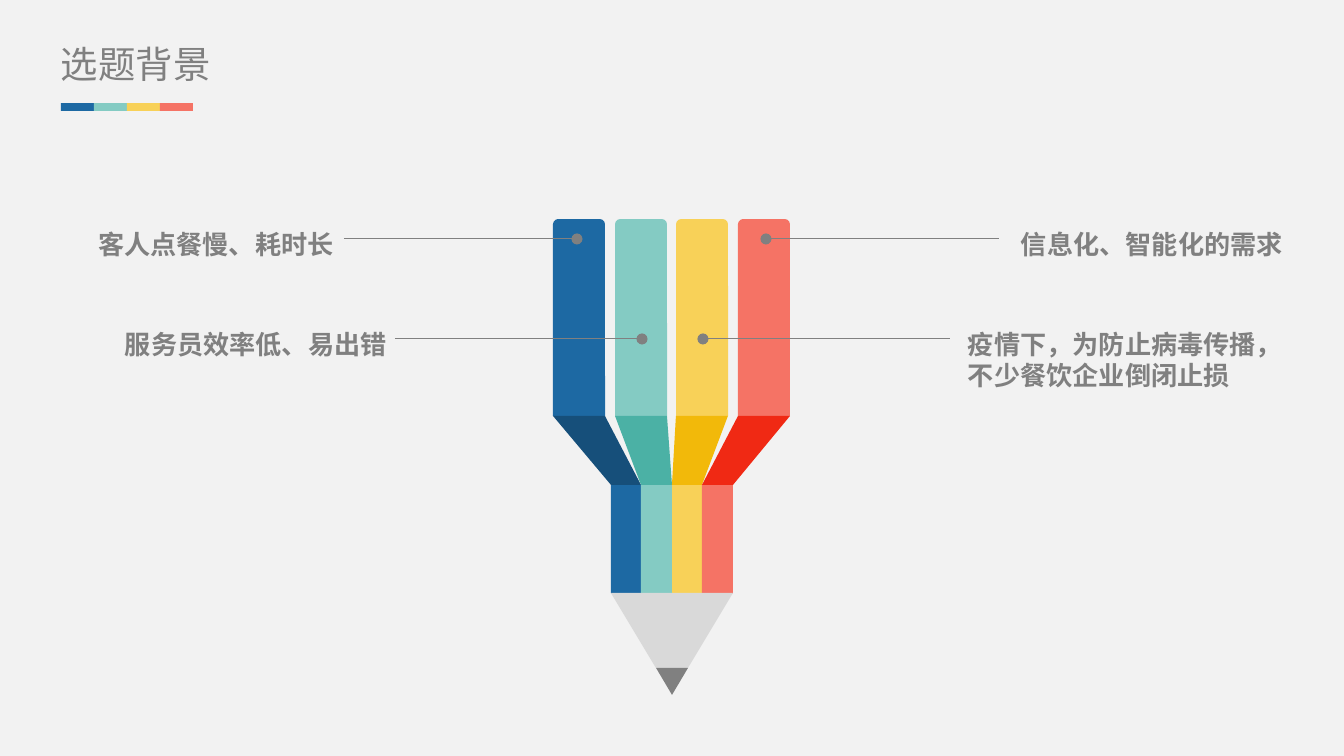
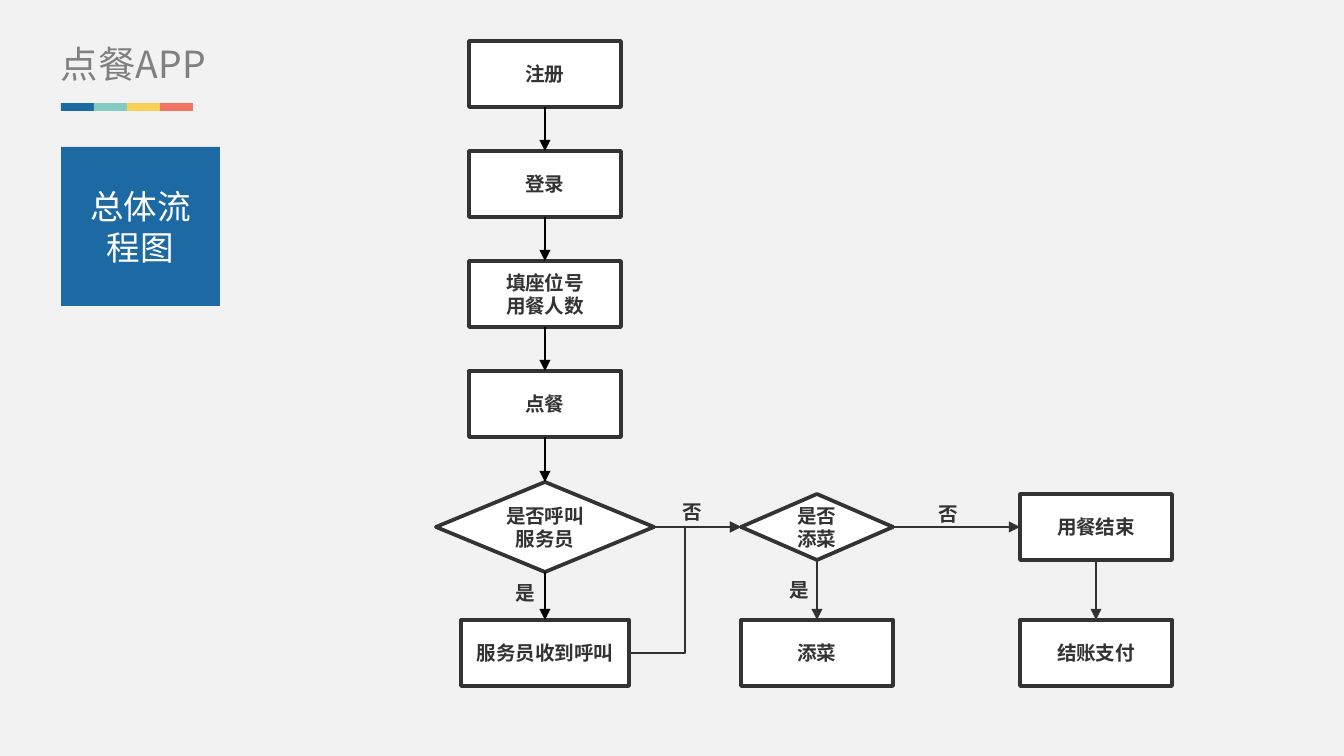
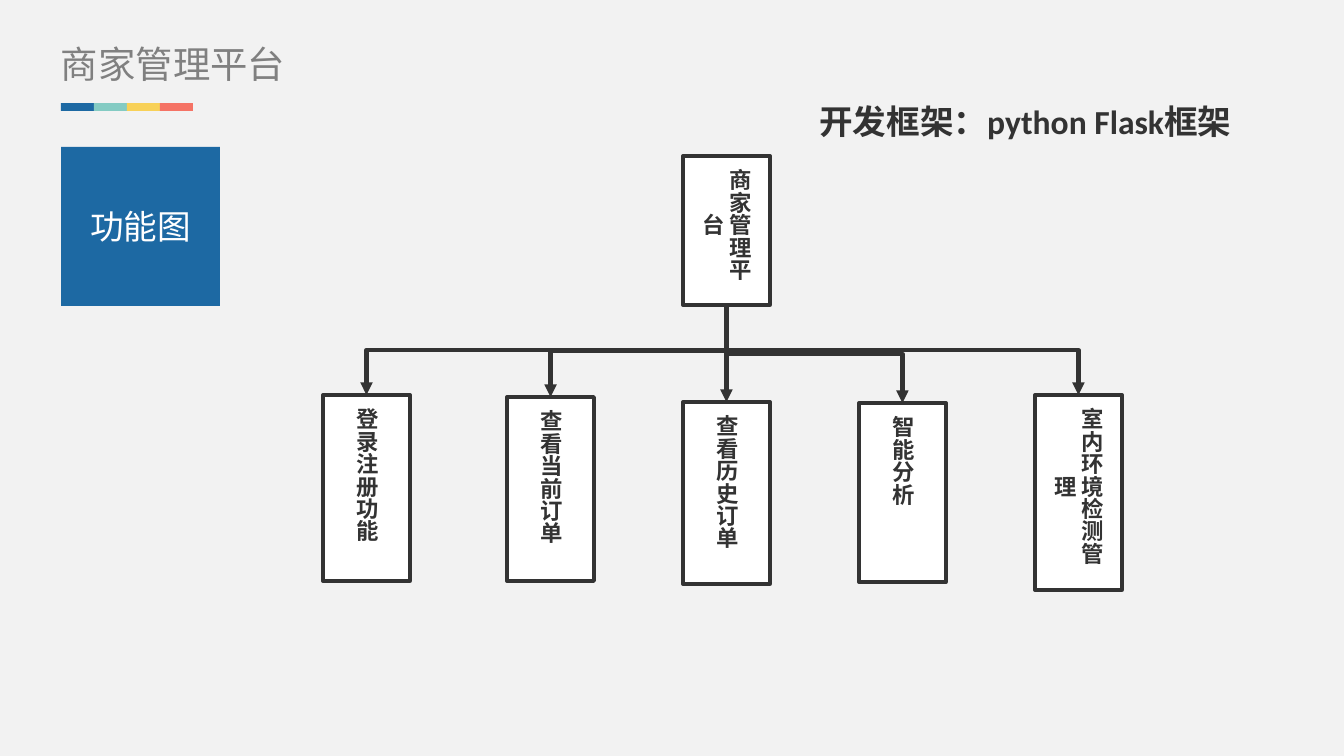
"""Builds three slides on an ordering system: background, app flow and merchant functions."""
from lxml.etree import SubElement
from pptx import Presentation
from pptx.dml.color import RGBColor
from pptx.enum.shapes import MSO_CONNECTOR, MSO_SHAPE
from pptx.enum.text import MSO_ANCHOR, MSO_AUTO_SIZE, PP_ALIGN
from pptx.oxml.ns import qn
from pptx.util import Pt

PX = 9144000 / 1344
COLOURS = {
    "paper": "F2F2F2", "white": "FFFFFF", "grey": "808080", "wood": "D9D9D9",
    "ink": "333333", "arrow": "323232", "black": "000000",
    "blue": "1D69A3", "teal": "84CBC3", "yellow": "F8D158", "red": "F57365",
    "dark blue": "164F7A", "dark teal": "4BB1A5", "dark yellow": "F2B90A", "dark red": "F02914",
}
RGB = {name: RGBColor.from_string(code) for name, code in COLOURS.items()}
BAND = ["blue", "teal", "yellow", "red"]
CJK = "Noto Sans CJK SC"
STYLES = {
    "title": ("grey", {"size": Pt(20), "name": CJK}),
    "callout": ("grey", {"size": Pt(14), "name": "Calibri", "bold": True}),
    "badge": ("white", {"size": Pt(18), "name": "Calibri"}),
    "step": ("ink", {"size": Pt(10.5), "name": "Times New Roman", "bold": True}),
    "function": ("ink", {"size": Pt(12), "name": "Times New Roman", "bold": True}),
    "remark": ("ink", {"size": Pt(18), "name": "Calibri", "bold": True}),
}


def place(slide, frame, kind=None, fill=None, edge=None, text="", style=None,
          align=PP_ALIGN.CENTER, margin=None):
    """Adds a preset shape, or a text box when no kind is given."""
    left, top, width, height = [round(value * PX) for value in frame]
    if kind is None:
        item = slide.shapes.add_textbox(left, top, width, height)
        item.text_frame.auto_size = MSO_AUTO_SIZE.SHAPE_TO_FIT_TEXT
    else:
        item = slide.shapes.add_shape(kind, left, top, width, height)
        item.shadow.inherit = False
        item.fill.solid()
        item.fill.fore_color.rgb = RGB[fill]
        item.text_frame.vertical_anchor = MSO_ANCHOR.MIDDLE
        if edge:
            item.line.color.rgb = RGB[edge]
            item.line.width = Pt(2)
        else:
            item.line.fill.background()
    item.text_frame.word_wrap = True
    if margin is not None:
        for side in ("left", "top", "right", "bottom"):
            setattr(item.text_frame, f"margin_{side}", margin)
    if text:
        item.text_frame.text = text
        colour, values = STYLES[style]
        for paragraph in item.text_frame.paragraphs:
            paragraph.alignment = align
            for run in paragraph.runs:
                run.font.color.rgb = RGB[colour]
                for name, value in values.items():
                    setattr(run.font, name, value)
                SubElement(run.font._element, qn("a:ea"), typeface=CJK)
    return item


def link(slide, ends, colour, width, tip="triangle", kind=MSO_CONNECTOR.STRAIGHT):
    """Adds a connector with a tip at its end."""
    connector = slide.shapes.add_connector(kind, *[round(value * PX) for value in ends])
    connector.line.color.rgb = RGB[colour]
    connector.line.width = Pt(width)
    SubElement(connector.line._get_or_add_ln(), qn("a:tailEnd"), type=tip)
    SubElement(connector._element.spPr, qn("a:effectLst"))
    return connector


prs = Presentation()
prs.slide_width, prs.slide_height = round(1344 * PX), round(756 * PX)
prs.slide_master.background.fill.solid()
prs.slide_master.background.fill.fore_color.rgb = RGB["paper"]

slides = []
for title, badge in [("选题背景", None), ("点餐APP", "总体流程图"), ("商家管理平台", "功能图")]:
    slide = prs.slides.add_slide(prs.slide_layouts[6])
    place(slide, (61, 41, 409, 46), text=title, style="title", align=PP_ALIGN.LEFT, margin=0)
    for i, colour in enumerate(BAND):
        place(slide, (61 + 33 * i, 103, 33, 8), MSO_SHAPE.RECTANGLE, colour)
    if badge:
        place(slide, (61, 147, 159, 159), MSO_SHAPE.RECTANGLE, "blue", text=badge, style="badge")
    slides.append(slide)
background, flow, functions = slides

barrels = [553, 615, 676, 738]
edges = [611, 641, 672, 702, 733]
pieces = []
for colour, barrel, left, right in zip(BAND, barrels, edges, edges[1:]):
    top = place(background, (barrel, 219, 52, 197), MSO_SHAPE.ROUND_2_SAME_RECTANGLE, colour)
    top.adjustments[0] = 0.1
    pieces.append((colour, [(left, 485), (right, 485), (right, 593),
                            ((left + right) // 2, 608), (left, 593)]))
    pieces.append((f"dark {colour}", [(barrel, 416), (barrel + 52, 416), (right, 485), (left, 485)]))
pieces.append(("wood", [(611, 593), (733, 593), (688, 668), (656, 668)]))
pieces.append(("grey", [(656, 668), (688, 668), (672, 695)]))
for colour, corners in pieces:
    outline = background.shapes.build_freeform(*corners[0], scale=PX)
    outline.add_line_segments(corners[1:], close=True)
    piece = outline.convert_to_shape()
    piece.shadow.inherit = False
    piece.fill.solid()
    piece.fill.fore_color.rgb = RGB[colour]
    piece.line.fill.background()

callouts = [
    ("客人点餐慢、耗时长", (69, 228, 265, 32), PP_ALIGN.RIGHT, (344, 239, 577, 239)),
    ("服务员效率低、易出错", (122, 328, 265, 32), PP_ALIGN.RIGHT, (395, 339, 642, 339)),
    ("信息化、智能化的需求", (1021, 228, 265, 32), PP_ALIGN.LEFT, (999, 239, 766, 239)),
    ("疫情下，为防止病毒传播，不少餐饮企业倒闭止损", (968, 328, 306, 63), PP_ALIGN.LEFT,
     (950, 339, 703, 339)),
]
for text, frame, align, ends in callouts:
    place(background, frame, text=text, style="callout", align=align, margin=0)
    link(background, ends, "grey", 0.5, "oval")

steps = {}
for i, text in enumerate(["注册", "登录", "填座位号\n用餐人数", "点餐"]):
    steps[text] = place(flow, (469, 41 + 110 * i, 152, 66), MSO_SHAPE.RECTANGLE,
                        "white", "ink", text, "step")
for text, kind, frame in [
    ("是否呼叫服务员", MSO_SHAPE.FLOWCHART_DECISION, (436, 482, 218, 90)),
    ("服务员收到呼叫", MSO_SHAPE.RECTANGLE, (461, 620, 168, 66)),
    ("是否添菜", MSO_SHAPE.FLOWCHART_DECISION, (741, 494, 152, 66)),
    ("添菜", MSO_SHAPE.RECTANGLE, (741, 620, 152, 66)),
    ("用餐结束", MSO_SHAPE.RECTANGLE, (1020, 494, 152, 66)),
    ("结账支付", MSO_SHAPE.RECTANGLE, (1020, 620, 152, 66)),
]:
    steps[text] = place(flow, frame, kind, "white", "ink", text, "step")

BOTTOM_TO_TOP, RIGHT_TO_LEFT = (2, 0), (3, 1)
for start, end, (start_site, end_site), colour in [
    ("注册", "登录", BOTTOM_TO_TOP, "black"),
    ("登录", "填座位号\n用餐人数", BOTTOM_TO_TOP, "black"),
    ("填座位号\n用餐人数", "点餐", BOTTOM_TO_TOP, "black"),
    ("点餐", "是否呼叫服务员", BOTTOM_TO_TOP, "black"),
    ("是否呼叫服务员", "服务员收到呼叫", BOTTOM_TO_TOP, "black"),
    ("是否呼叫服务员", "是否添菜", RIGHT_TO_LEFT, "arrow"),
    ("是否添菜", "添菜", BOTTOM_TO_TOP, "arrow"),
    ("是否添菜", "用餐结束", RIGHT_TO_LEFT, "arrow"),
    ("用餐结束", "结账支付", BOTTOM_TO_TOP, "arrow"),
]:
    arrow = link(flow, (0, 0, 0, 0), colour, 1.5)
    arrow.begin_connect(steps[start], start_site)
    arrow.end_connect(steps[end], end_site)
link(flow, (629, 653, 741, 527), "arrow", 1.5, kind=MSO_CONNECTOR.ELBOW)

for answer, left, top in [("是", 496, 574), ("否", 663, 493), ("是", 770, 571), ("否", 919, 495)]:
    place(flow, (left, top, 58, 39), text=answer, style="step")

platform = place(functions, (683, 156, 87, 149), MSO_SHAPE.RECTANGLE,
                 "white", "ink", "商家管理平台", "function")
platform.text_frame._txBody.bodyPr.set("vert", "eaVert")
for text, left, top, height in [
    ("登录注册功能", 323, 395, 186),
    ("查看当前订单", 507, 397, 184),
    ("查看历史订单", 683, 402, 182),
    ("智能分析", 859, 403, 179),
    ("室内环境检测管理", 1035, 395, 195),
]:
    branch = place(functions, (left, top, 87, height), MSO_SHAPE.RECTANGLE,
                   "white", "ink", text, "function")
    branch.text_frame._txBody.bodyPr.set("vert", "eaVert")
    across, down = left - 683, top - 305
    if across == 0:
        trunk = link(functions, (0, 0, 0, 0), "ink", 2.25)
        trunk.begin_connect(platform, 2)
        trunk.end_connect(branch, 0)
        continue
    middle_x, middle_y = 726.5 + across / 2, 305 + down / 2
    reach = down / 2 if across < 0 else -down / 2
    elbow = link(functions, (middle_x - reach, middle_y - abs(across) / 2,
                             middle_x + reach, middle_y + abs(across) / 2),
                 "ink", 2.25, kind=MSO_CONNECTOR.ELBOW)
    elbow._element.spPr.xfrm.set("rot", "5400000" if across < 0 else "16200000")

place(functions, (806, 94, 448, 54), text="开发框架：python Flask框架", style="remark",
      align=PP_ALIGN.LEFT)

prs.save("out.pptx")
